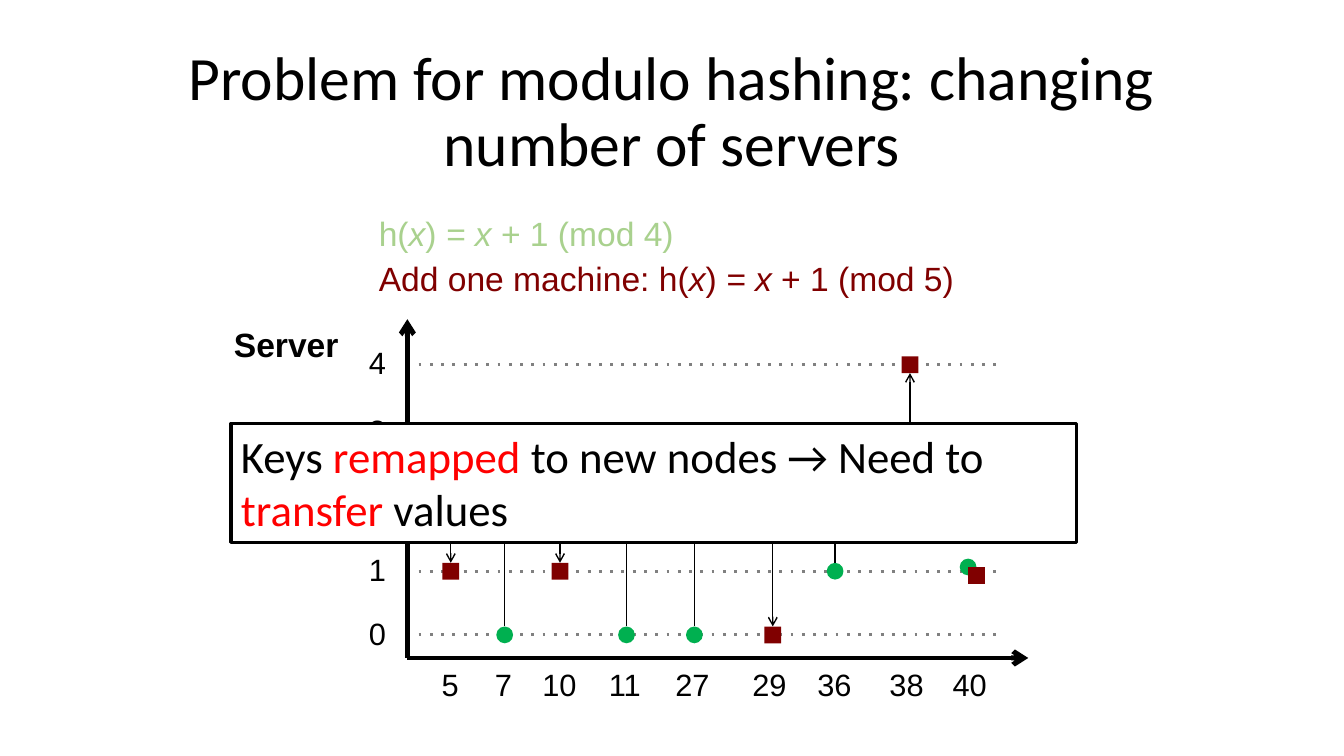
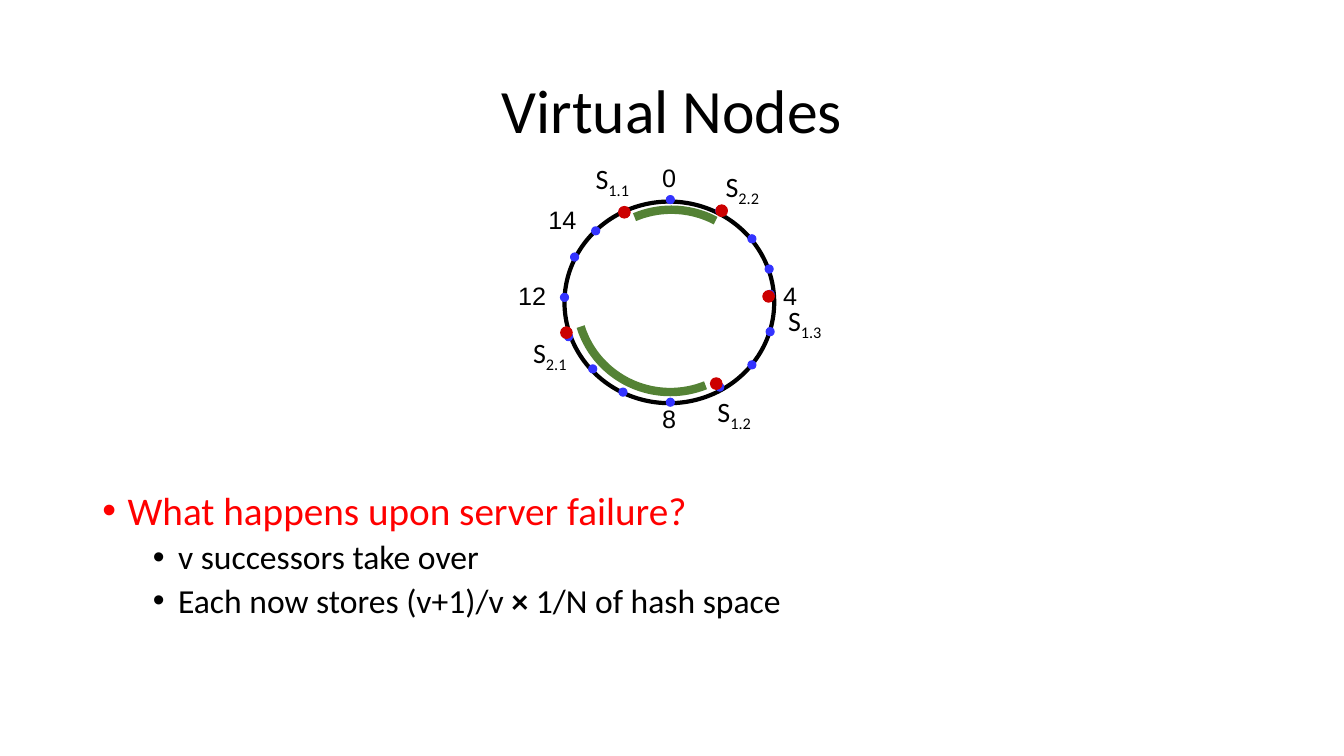
import pptx
import pptx.dml.color
import pptx.enum.dml
import pptx.enum.shapes
import pptx.enum.text
import pptx.oxml.ns
import pptx.util
from lxml import etree

Pt = pptx.util.Pt
SHAPE = pptx.enum.shapes.MSO_SHAPE
FIT = pptx.enum.text.MSO_AUTO_SIZE

# Shared colours and fonts
BLACK, WHITE, RED = "000000", "FFFFFF", "FF0000"
GREEN, MAROON, PALE_GREEN, GREY = "00B050", "800000", "A9D18E", "808080"
BLUE, NODE_RED, ARC_GREEN = "3333FF", "CC0000", "548235"
SANS, BODY = "Arial", "Calibri"
TITLE_BOX = (66, 29, 828, 104)


def rgb(value):
    return pptx.dml.color.RGBColor.from_string(value)


def sub(parent, tag, **attrs):
    return etree.SubElement(parent, pptx.oxml.ns.qn(tag), attrs)


def place(sp, x, y, w, h):
    sp.left, sp.top, sp.width, sp.height = Pt(x), Pt(y), Pt(w), Pt(h)


def add_run(p, text, size=24, color=BLACK, font=BODY, bold=False, italic=False, base=None):
    r = p.add_run()
    r.text = text
    f = r.font
    f.size, f.name, f.bold, f.italic = Pt(size), font, bold, italic
    f.color.rgb = rgb(color)
    if base is not None:
        r.font._element.set("baseline", str(base * 1000))


def add_text(slide, box, runs, wrap=False, inset=True, **fmt):
    """Text box; runs is a list of (text, format changes)."""
    sp = slide.shapes.add_textbox(*map(Pt, box))
    tf = sp.text_frame
    tf.word_wrap = wrap
    tf.auto_size = FIT.SHAPE_TO_FIT_TEXT
    if not inset:
        tf.margin_left = tf.margin_right = tf.margin_top = tf.margin_bottom = 0
    for text, changes in runs:
        add_run(tf.paragraphs[0], text, **{**fmt, **changes})
    place(sp, *box)
    return sp


def add_shape(slide, kind, box, fill=None, line=None, width=0.75):
    sp = slide.shapes.add_shape(kind, *map(Pt, box))
    sp.shadow.inherit = False
    if fill:
        sp.fill.solid()
        sp.fill.fore_color.rgb = rgb(fill)
    else:
        sp.fill.background()
    if line:
        sp.line.color.rgb = rgb(line)
        sp.line.width = Pt(width)
    else:
        sp.line.fill.background()
    return sp


def add_mark(slide, kind, cx, cy, size, fill, line=None):
    return add_shape(slide, kind, (cx - size / 2, cy - size / 2, size, size), fill, line)


def add_line(slide, x1, y1, x2, y2, color=BLACK, width=1, dash=None, arrow=False):
    cn = slide.shapes.add_connector(pptx.enum.shapes.MSO_CONNECTOR.STRAIGHT,
                                    Pt(x1), Pt(y1), Pt(x2), Pt(y2))
    cn.line.color.rgb = rgb(color)
    cn.line.width = Pt(width)
    ln = cn.line._get_or_add_ln()
    if dash:
        sub(ln, "a:prstDash", val=dash)
    if arrow:
        sub(ln, "a:tailEnd", type="arrow")
    sub(cn._element.spPr, "a:effectLst")
    return cn


def new_slide(prs, layout, title):
    slide = prs.slides.add_slide(prs.slide_layouts[layout])
    tf = slide.shapes.title.text_frame
    tf.auto_size = FIT.NONE
    p = tf.paragraphs[0]
    p.line_spacing = 0.9
    add_run(p, title, size=44)
    return slide


# Slide 1: modulo hashing
# key, column, label centre, server before, server after
KEYS = [("5", 31, 31, 2, 1), ("7", 69.5, 69, 0, 3), ("10", 109, 109, 3, 1),
        ("11", 156.5, 156.5, 0, 2), ("27", 205, 204, 0, 3), ("29", 261, 259, 2, 0),
        ("36", 305.5, 305.5, 1, 2), ("38", 359, 357, 3, 4), ("40", 403.5, 402, 1, 1)]
ROWS = {0: 225.5, 1: 180, 2: 130, 3: 80.5, 4: 32.5}  # server: distance from the top
MARK = 12


def formula(lead, modulus):
    return [(lead + "h(", {}), ("x", {"italic": True}), (") ", {}),
            ("= x ", {"italic": True}), (f"+ 1 (mod {modulus})", {})]


def hash_plot(slide, x, y, w, h):
    def label(text, cx, cy):
        width = 15 + 12.2 * len(text)
        add_text(slide, (cx - width / 2, cy - 17, width, 34), [(text, {})], size=22, font=SANS)

    # Guides, axes and server labels
    for server in (0, 1, 4):
        add_line(slide, x, y + ROWS[server], x + 420.5, y + ROWS[server], GREY, 2, dash="dot")
    add_line(slide, x, y + h, x + w, y + h, width=3.5, arrow=True)
    add_line(slide, x, y + h, x, y, width=3.5, arrow=True)
    add_text(slide, (x - 131, y, 90, 36), [("Server", {})], font=SANS, bold=True)
    for server in (4, 3, 1, 0):
        label(str(server), x - 21, y + ROWS[server] - 1.3)

    # Each key moves from its circle to its square
    for key, column, label_x, before, after in KEYS:
        label(key, x + label_x, y + h + 19)
        cx, start, end = x + column, y + ROWS[before], y + ROWS[after]
        shift = 3 if before == after else 0
        if before != 2:
            add_mark(slide, SHAPE.OVAL, cx - shift, start - shift, MARK, GREEN)
        square = None
        if after != 2:
            square = add_mark(slide, SHAPE.RECTANGLE, cx + shift, end + shift, MARK, MAROON)
        if before != after:
            step = MARK / 2 if end > start else -MARK / 2
            cn = add_line(slide, cx, start + step, cx, end - step, arrow=True)
            if square is not None:
                cn.end_connect(square, 0 if end > start else 2)


def callout(slide, box):
    sp = add_text(slide, box, [("Keys ", {}), ("remapped ", {"color": RED}),
                               ("to new nodes → Need to ", {}),
                               ("transfer ", {"color": RED}), ("values", {})],
                  wrap=True, size=32)
    sp.fill.solid()
    sp.fill.fore_color.rgb = rgb(WHITE)
    sp.line.color.rgb = rgb(BLACK)
    sp.line.width = Pt(2.25)


def modulo_slide(prs):
    slide = new_slide(prs, 5, "Problem for modulo hashing: changing number of servers")
    add_text(slide, (263.5, 148.3, 235.4, 36), formula("", 4), color=PALE_GREEN, font=SANS)
    add_text(slide, (263.5, 180.7, 451.4, 36), formula("Add one machine: ", 5),
             color=MAROON, font=SANS)
    hash_plot(slide, 291, 228, 443.5, 242)
    callout(slide, (165, 302.4, 604, 85))


# Slide 2: virtual nodes; positions are relative to the ring's box
POINTS = [(75.6, 143.3), (75.6, -1.4), (0, 68.4), (20.2, 119.5), (133.9, 116.6),
          (22.3, 20.9), (133.9, 26.6), (41.8, 136.1), (7.2, 39.6), (41.8, 7.2),
          (146.9, 92.9), (146.2, 48.2), (2.9, 96.5), (110.9, 6.5), (146.9, 66.2),
          (110.9, 132.5)]
NODES = [(145.8, 67.7), (108.4, 130), (1.4, 93.6), (112.3, 6.5), (42.8, 7.6)]
NODE_LABELS = [("2.2", 108, -26.6), ("1.2", 102.2, 133.9), ("2.1", -29.5, 92.2),
               ("1.1", 15.1, -32.4), ("1.3", 152.6, 69.1)]
NUMBERS = [("0", 69.8, -28.1, 12.2), ("4", 156.2, 56.2, 12.2), ("8", 69.8, 144, 12.2),
           ("12", -33.1, 56.2, 33), ("14", -11.5, 2.2, 30)]
ARCS = [(9.4, 5.8, 246.6, 298.4), (8.6, 3.6, 67.7, 163.1)]  # left, top, start and end degrees


def hash_ring(slide, x, y, w, h):
    add_shape(slide, SHAPE.OVAL, (x, y, w, h), line=BLACK, width=3)
    for dx, dy, start, end in ARCS:
        sp = add_shape(slide, SHAPE.ARC, (x + dx, y + dy, 134, 132.5), line=ARC_GREEN, width=6)
        # Adjustments count 60000 to the degree, scaled by 100000
        sp.adjustments[0], sp.adjustments[1] = start * 0.6, end * 0.6
    for centres, size, color in ((POINTS, 5.8, BLUE), (NODES, 8.3, NODE_RED)):
        for dx, dy in centres:
            add_mark(slide, SHAPE.OVAL, x + dx, y + dy, size, color, color)
    for text, dx, dy, width in NUMBERS:
        add_text(slide, (x + dx, y + dy, width, 21.6), [(text, {})],
                 wrap=True, inset=False, size=18, font=SANS)
    for text, dx, dy in NODE_LABELS:
        add_text(slide, (x + dx, y + dy, 46.8, 31.7), [("S", {}), (text, {"base": -25})], size=20)


def bullet_list(sp, box, items):
    place(sp, *box)
    tf = sp.text_frame
    tf.auto_size = FIT.NONE
    for i, (level, runs) in enumerate(items):
        p = tf.paragraphs[0] if i == 0 else tf.add_paragraph()
        p.level = level
        p.line_spacing = 0.9
        p.space_before = Pt(5 if level else 10)
        pPr = p._p.get_or_add_pPr()
        pPr.set("marL", str(Pt(18 + 36 * level)))
        pPr.set("indent", str(Pt(-18)))
        sub(pPr, "a:buFont", typeface=SANS)
        sub(pPr, "a:buChar", char="•")
        for text, fmt in runs:
            add_run(p, text, **fmt)


def virtual_nodes_slide(prs):
    slide = new_slide(prs, 1, "Virtual Nodes")
    bullet_list(slide.placeholders[1], (66, 347.5, 828, 139), [
        (0, [("What happens upon server failure?", {"size": 28, "color": RED})]),
        (1, [("v successors take over", {})]),
        (1, [("Each now stores (v+1)/v ", {}), ("× ", {"bold": True}),
             ("1/N of hash space", {})])])
    hash_ring(slide, 403.2, 144, 149.8, 144)


def main():
    prs = pptx.Presentation()
    prs.slide_width, prs.slide_height = Pt(960), Pt(540)
    # Every layout takes its title position from the master
    place(prs.slide_master.placeholders[0], *TITLE_BOX)
    modulo_slide(prs)
    virtual_nodes_slide(prs)
    prs.save("out.pptx")


if __name__ == "__main__":
    main()
